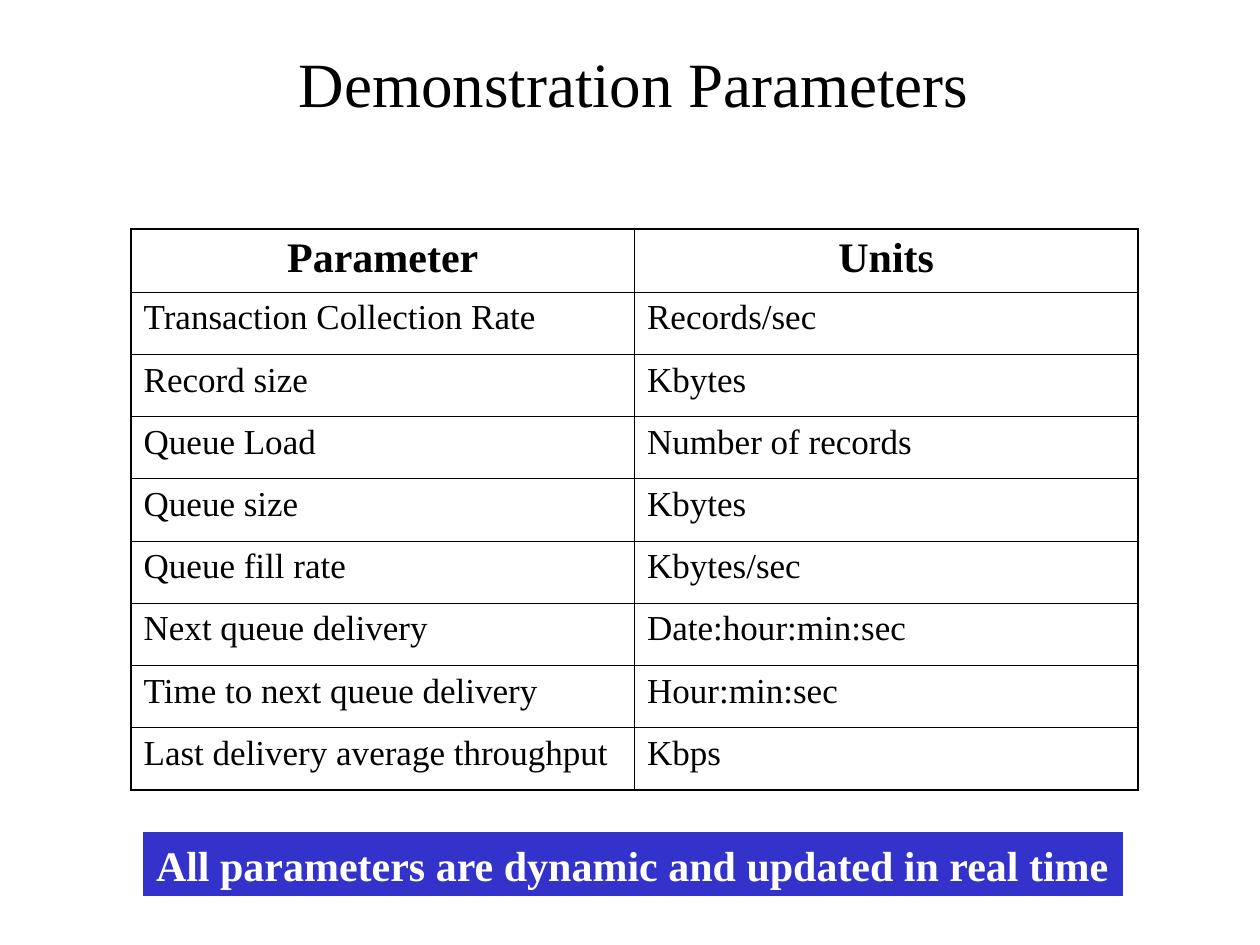
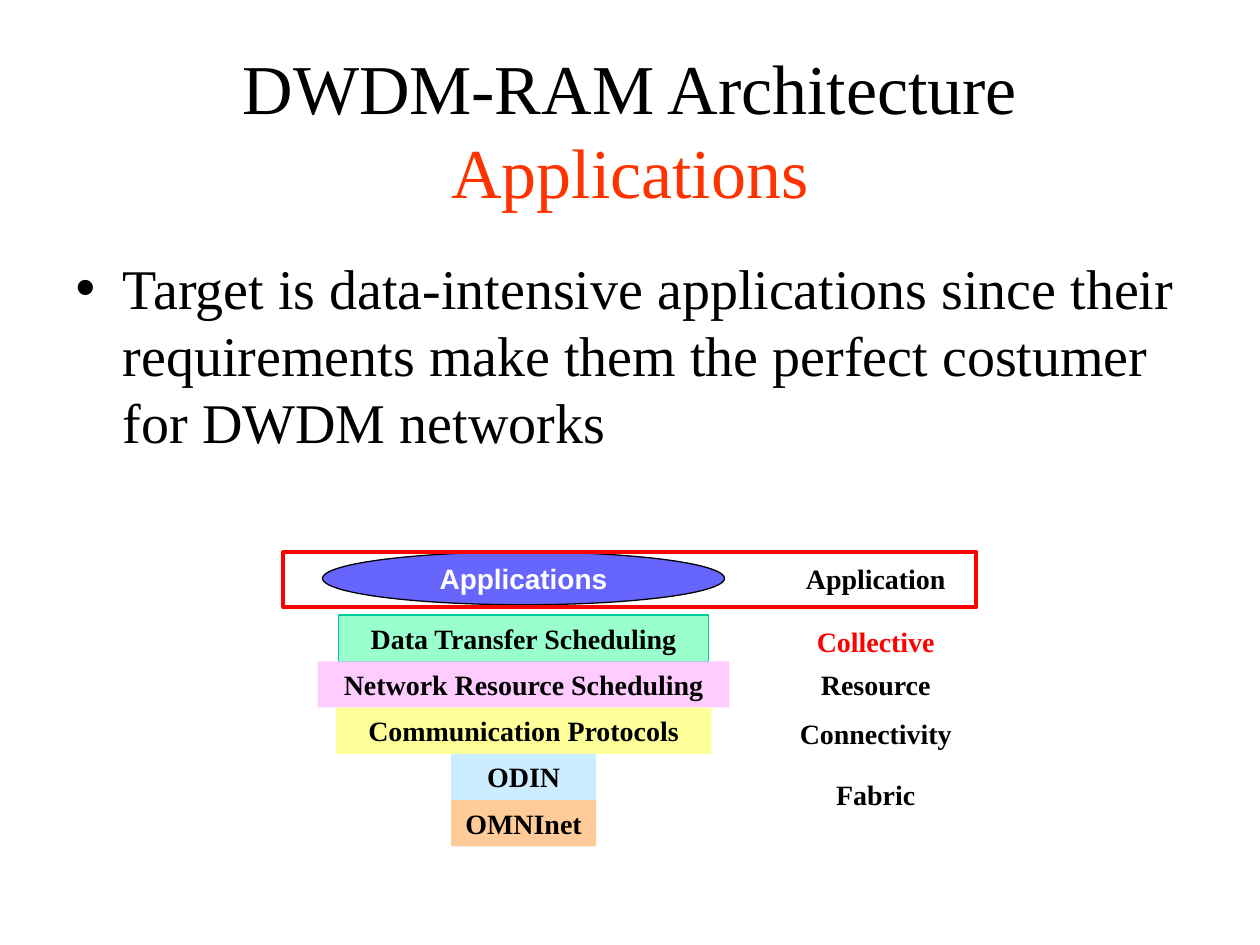
from lxml.etree import SubElement
from pptx import Presentation
from pptx.dml.color import RGBColor
from pptx.enum.shapes import MSO_SHAPE as Kind
from pptx.enum.text import MSO_ANCHOR as Anchor, MSO_AUTO_SIZE as Auto, PP_ALIGN as Align
from pptx.oxml.ns import qn
from pptx.util import Pt

SERIF, SANS = "Times New Roman", "Arial"
BLACK, WHITE, RED = "000000", "FFFFFF", "FF0000"
LEAD = 1.2  # line height as a share of the text size

ROWS = [
    ("Parameter", "Units"),
    ("Transaction Collection Rate", "Records/sec"),
    ("Record size", "Kbytes"),
    ("Queue Load", "Number of records"),
    ("Queue size", "Kbytes"),
    ("Queue fill rate", "Kbytes/sec"),
    ("Next queue delivery", "Date:hour:min:sec"),
    ("Time to next queue delivery", "Hour:min:sec"),
    ("Last delivery average throughput", "Kbps"),
]
BANNER = "All parameters are dynamic and updated in real time"
TARGET = ("Target is data-intensive applications since their requirements "
          "make them the perfect costumer for DWDM networks")
# text, width, fill, line
LAYERS = [
    ("Data Transfer Scheduling", 211.7, "99FFCC", "00CC99"),
    ("Network Resource Scheduling", 235.4, "FFCCFF", None),
    ("Communication Protocols", 214.6, "FFFF99", None),
    ("ODIN", 82.8, "CCECFF", None),
    ("OMNInet", 82.8, "FFCC99", None),
]
# text, top, colour
LEVELS = [
    ("Fabric", 440.6, BLACK),
    ("Connectivity", 406, BLACK),
    ("Resource", 377.8, BLACK),
    ("Collective", 353.3, RED),
    ("Application", 317.5, BLACK),
]
AXIS, TOP, STEP = 299.2, 351.4, 26.45


def rgb(code):
    return RGBColor.from_string(code)


def points(*nums):
    return [Pt(n) for n in nums]


def add_run(para, text, size, color=BLACK, bold=False, face=SERIF):
    run = para.add_run()
    run.text = text
    font = run.font
    font.size, font.bold, font.name = Pt(size), bold, face
    font.color.rgb = rgb(color)


def set_text(shape, text, size, color=BLACK, bold=False, face=SERIF,
             align=Align.CENTER, anchor=Anchor.TOP, wrap=True):
    frame = shape.text_frame
    frame.word_wrap, frame.auto_size = wrap, Auto.NONE
    frame.vertical_anchor = anchor
    para = frame.paragraphs[0]
    para.alignment, para.space_before = align, Pt(0)
    para.line_spacing = Pt(LEAD * size)
    add_run(para, text, size, color, bold, face)
    return para


def place(shape, left, top, width, height):
    shape.left, shape.top, shape.width, shape.height = points(left, top, width, height)


def add_form(shapes, kind, box, fill=None, line=None, weight=0.75):
    form = shapes.add_shape(kind, *points(*box))
    form.shadow.inherit = False
    if fill:
        form.fill.solid()
        form.fill.fore_color.rgb = rgb(fill)
    else:
        form.fill.background()
    if line:
        form.line.color.rgb = rgb(line)
        form.line.width = Pt(weight)
    else:
        form.line.fill.background()
    return form


def add_slide(deck, layout, title, size, left):
    slide = deck.slides.add_slide(deck.slide_layouts[layout])
    place(slide.shapes.title, left, 21.6, 648, 90)
    return slide, set_text(slide.shapes.title, title, size)


def set_edges(cell, widths):
    """Draw the left, right, top and bottom borders of a cell."""
    props = cell._tc.get_or_add_tcPr()
    for side, width in zip("LRTB", widths):
        edge = SubElement(props, qn(f"a:ln{side}"), w=str(Pt(width)))
        fill = SubElement(edge, qn("a:solidFill"))
        SubElement(fill, qn("a:srgbClr"), val=BLACK)


def add_grid(slide):
    rows, cols = len(ROWS), len(ROWS[0])
    grid = slide.shapes.add_table(rows, cols, *points(74.9, 131, 575.4, 320.4)).table
    grid.first_row = grid.horz_banding = False
    for col in grid.columns:
        col.width = Pt(287.7)
    for r, row in enumerate(ROWS):
        head = r == 0
        grid.rows[r].height = Pt(36 if head else 35.55)
        for c, text in enumerate(row):
            cell = grid.cell(r, c)
            outer = (c == 0, c == cols - 1, head, r == rows - 1)
            set_edges(cell, [1.08 if out else 0.45 for out in outer])
            cell.fill.background()
            para = cell.text_frame.paragraphs[0]
            para.alignment = Align.CENTER if head else Align.LEFT
            add_run(para, text, 24 if head else 20, bold=head)


def add_params(deck):
    slide, _ = add_slide(deck, 5, "Demonstration Parameters", 36, 38.2)
    blue = "3333CC"
    banner = add_form(slide.shapes, Kind.RECTANGLE, (82.1, 475.9, 559.4, 36), blue, blue)
    set_text(banner, BANNER, 24, WHITE, True, align=Align.LEFT, wrap=False)
    add_grid(slide)


def add_target(slide):
    body = slide.placeholders[1]
    place(body, 36, 141.1, 648, 139.7)
    para = set_text(body, TARGET, 32, align=Align.LEFT)
    props = para._p.get_or_add_pPr()
    props.set("marL", str(Pt(27)))
    props.set("indent", str(Pt(-27)))
    color = SubElement(props, qn("a:buClr"))
    SubElement(color, qn("a:srgbClr"), val=BLACK)
    SubElement(props, qn("a:buChar"), char="•")


def add_stack(slide):
    shapes = slide.shapes.add_group_shape().shapes
    oval = add_form(shapes, Kind.OVAL, (184.3, 315.4, 229.7, 30.2), "6666FF", BLACK)
    set_text(oval, "Applications", 16, WHITE, True, SANS, anchor=Anchor.MIDDLE, wrap=False)
    for i, (text, width, fill, line) in enumerate(LAYERS):
        box = (AXIS - width / 2, TOP + i * STEP, width, STEP)
        set_text(add_form(shapes, Kind.RECTANGLE, box, fill, line), text, 16, bold=True)
    for text, top, color in LEVELS:
        label = shapes.add_textbox(*points(448.6, top, 103.7, STEP))
        set_text(label, text, 16, color, True)
    add_form(shapes, Kind.RECTANGLE, (162, 315.4, 396, 31.7), line=RED, weight=2.25)


def add_layers(deck):
    slide, title = add_slide(deck, 1, "DWDM-RAM Architecture", 40, 36)
    title.add_line_break()
    add_run(title, "Applications", 40, "FF3300")
    add_target(slide)
    for holder in slide.placeholders:
        holder.fill.solid()
        holder.fill.fore_color.rgb = rgb(WHITE)
    add_stack(slide)


def main():
    deck = Presentation()
    deck.slide_width, deck.slide_height = points(720, 540)
    add_params(deck)
    add_layers(deck)
    deck.save("out.pptx")


if __name__ == "__main__":
    main()
